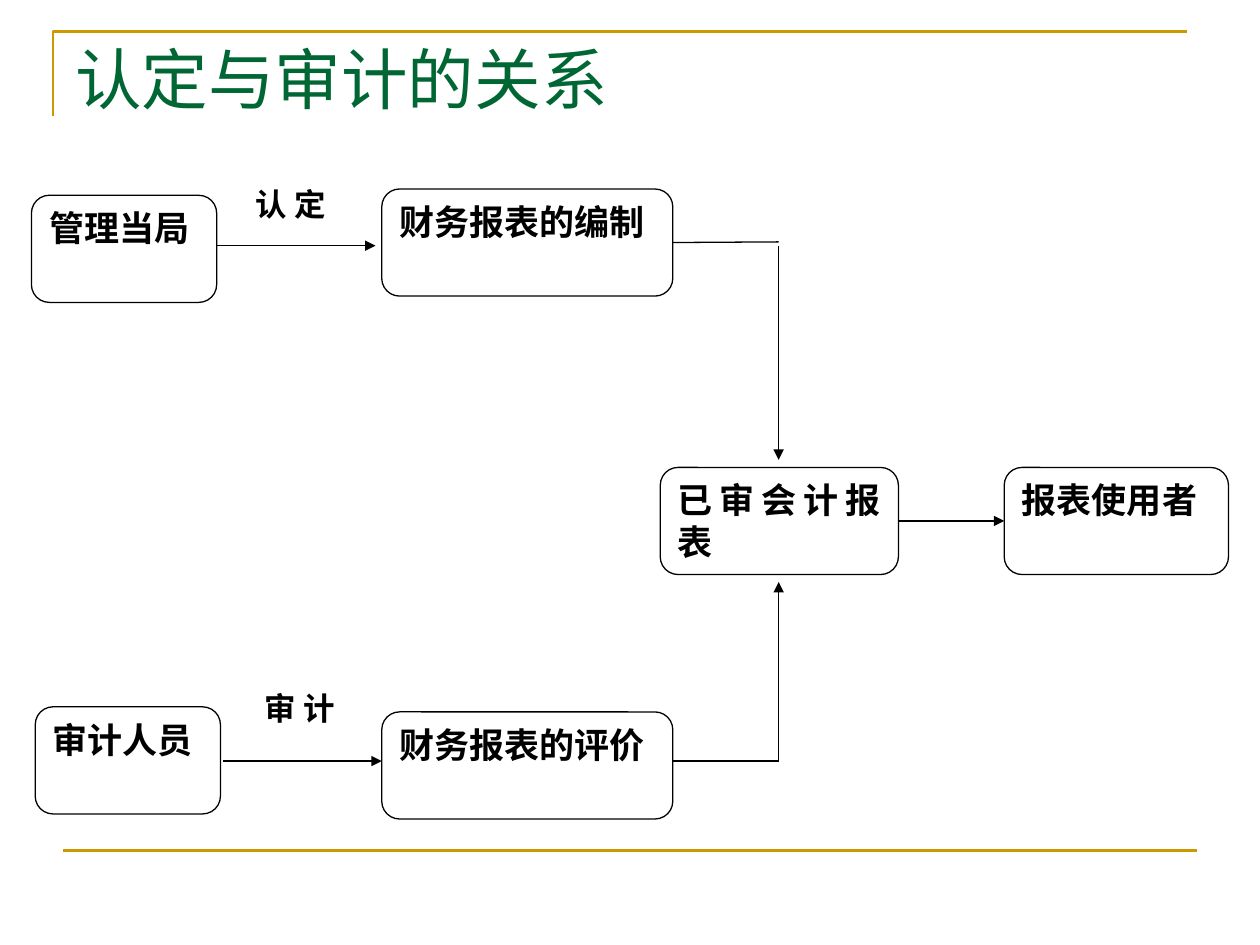
from pptx import Presentation
from pptx.dml.color import RGBColor
from pptx.enum.shapes import MSO_CONNECTOR as Link, MSO_SHAPE as Shape
from pptx.enum.text import MSO_ANCHOR as Anchor, PP_ALIGN as Align
from pptx.oxml.ns import qn
from pptx.util import Inches, Pt
from lxml.etree import SubElement

BLACK = RGBColor(0x00, 0x00, 0x00)
WHITE = RGBColor(0xFF, 0xFF, 0xFF)
GOLD = RGBColor(0xCC, 0x99, 0x00)
GREEN = RGBColor(0x00, 0x66, 0x33)

deck = Presentation()
deck.slide_width, deck.slide_height = Inches(10), Inches(7.5)
page = deck.slides.add_slide(deck.slide_layouts[6])


def write(box, text, size, color, bold, align, **frame_format):
    frame = box.text_frame
    for name, value in frame_format.items():
        setattr(frame, name, value)
    para = frame.paragraphs[0]
    para.alignment = align
    span = para.add_run()
    span.text = text
    span.font.color.rgb = color
    for name, value in {"name": "Times New Roman", "size": Pt(size), "bold": bold}.items():
        setattr(span.font, name, value)


def draw_line(start, end, color=BLACK, width=0.75, arrow=False):
    line = page.shapes.add_connector(Link.STRAIGHT, *map(Inches, start + end))
    line.line.color.rgb = color
    line.line.width = Pt(width)
    if arrow:
        SubElement(line.line._get_or_add_ln(), qn("a:tailEnd"), type="triangle")
    SubElement(line._element.spPr, qn("a:effectLst"))
    return line


builder = page.shapes.build_freeform(Inches(0.42), Inches(0.92))
builder.add_line_segments([(Inches(0.42), Inches(0.25)), (Inches(9.42), Inches(0.25))], close=False)
corner = builder.convert_to_shape()
corner.shadow.inherit = False
corner.fill.background()
corner.line.color.rgb = GOLD
corner.line.width = Pt(1.5)
draw_line((0.5, 6.75), (9.5, 6.75), GOLD, 1.5)

title = page.shapes.add_textbox(Inches(0.5), Inches(0.3), Inches(9), Inches(0.66))
write(title, "认定与审计的关系", 38, GREEN, False, Align.LEFT,
      word_wrap=True, vertical_anchor=Anchor.TOP, margin_top=0, margin_bottom=0)

boxes = {}
for text, left, top, width in [
    ("管理当局", 0.25, 1.55, 1.47),
    ("财务报表的编制", 3.03, 1.5, 2.31),
    ("已审会计报表", 5.24, 3.71, 1.89),
    ("报表使用者", 7.97, 3.71, 1.78),
    ("财务报表的评价", 3.03, 5.65, 2.31),
    ("审计人员", 0.28, 5.61, 1.47),
]:
    box = page.shapes.add_shape(Shape.ROUNDED_RECTANGLE, *map(Inches, (left, top, width, 0.85)))
    box.shadow.inherit = False
    box.fill.solid()
    box.fill.fore_color.rgb = WHITE
    box.line.color.rgb = BLACK
    box.line.width = Pt(0.75)
    write(box, text, 20, BLACK, True, Align.JUSTIFY, word_wrap=True, vertical_anchor=Anchor.TOP)
    boxes[text] = box

for start, end in [
    ((1.72, 1.95), (2.98, 1.95)),
    ((1.77, 6.04), (3.03, 6.04)),
    ((6.18, 1.95), (6.18, 3.65)),
    ((6.18, 6.04), (6.18, 4.62)),
]:
    draw_line(start, end, arrow=True)

draw_line((5.34, 6.04), (6.18, 6.04))
preparation_line = draw_line((5.34, 1.92), (6.18, 1.92))
preparation_line.begin_connect(boxes["财务报表的编制"], 3)
user_arrow = draw_line((7.13, 4.14), (7.97, 4.14), arrow=True)
user_arrow.begin_connect(boxes["已审会计报表"], 3)
user_arrow.end_connect(boxes["报表使用者"], 1)

for text, left, top in [("认 定", 1.93, 1.42), ("审 计", 2, 5.42)]:
    label = page.shapes.add_textbox(Inches(left), Inches(top), Inches(0.81), Inches(0.4))
    write(label, text, 18, BLACK, True, Align.LEFT, word_wrap=False, vertical_anchor=Anchor.MIDDLE)

deck.save("out.pptx")
